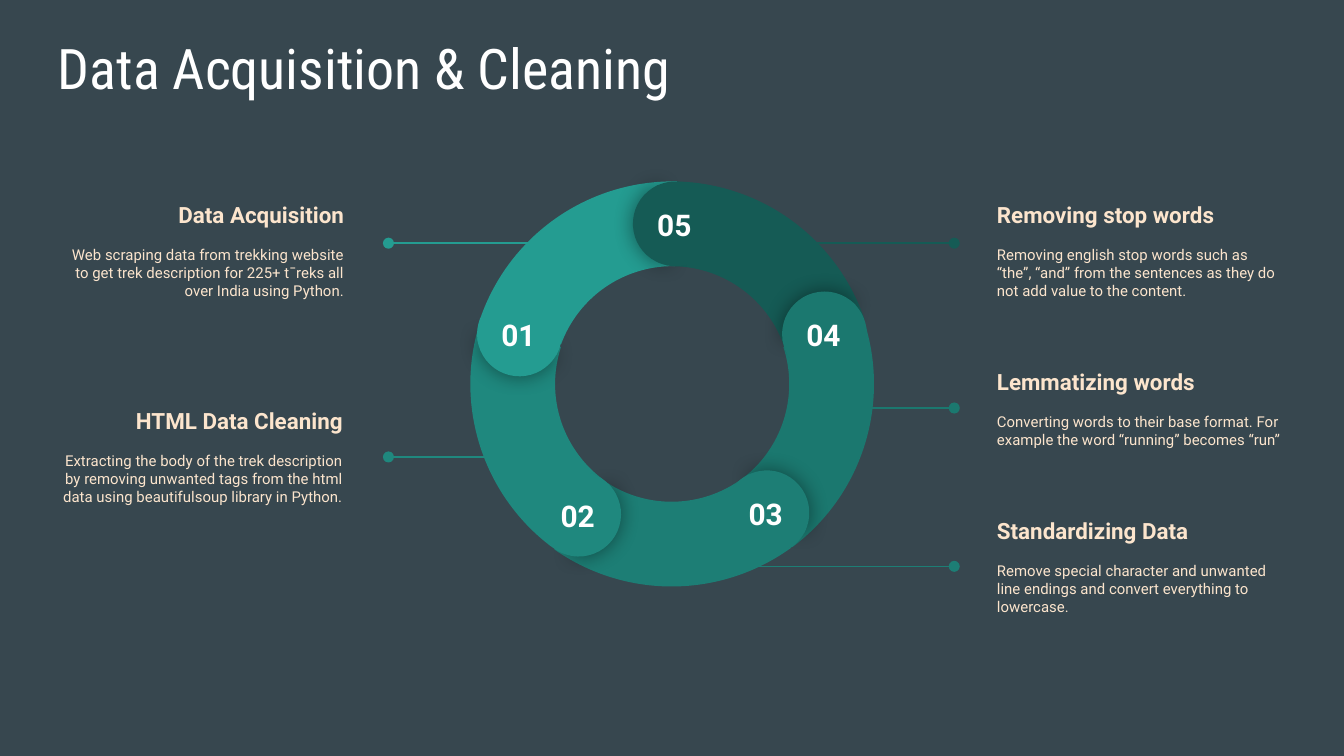
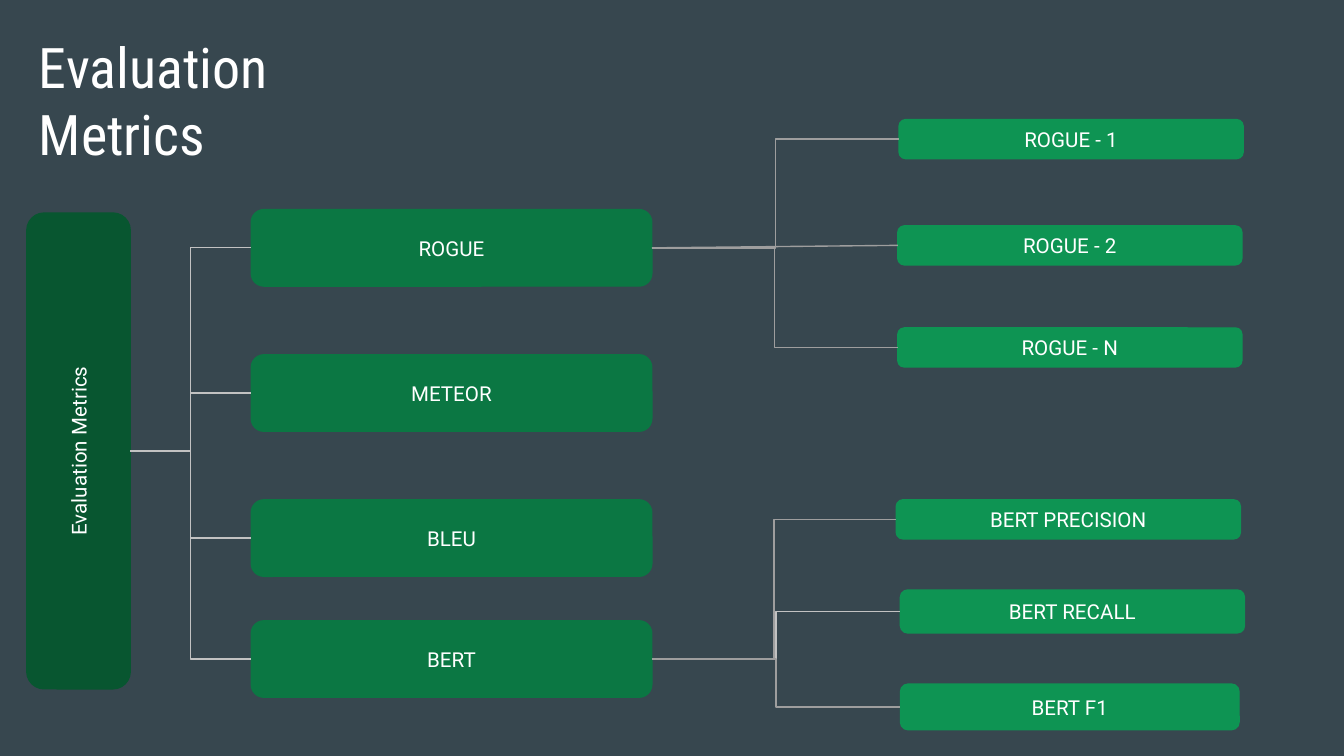
from dataclasses import dataclass

from lxml import etree
from pptx import Presentation
from pptx.dml import color as dml
from pptx.enum import shapes, text
from pptx.oxml import ns
from pptx.util import Pt

# Shared style
BACKGROUND = "37474F"
WHITE = "FFFFFF"
CREAM = "FCE5CD"
LINK, PALE_LINK = "9E9E9E", "C2C2C2"
BODY_FONT, TITLE_FONT = "Roboto", "Roboto Condensed"
INSET = 7.2
LEFT, CENTER, RIGHT = text.PP_ALIGN.LEFT, text.PP_ALIGN.CENTER, text.PP_ALIGN.RIGHT


@dataclass
class Step:
    number: str
    colour: str
    arc_left: float
    arc_top: float
    arc_turn: float
    cap_left: float
    cap_top: float
    cap_turn: float


@dataclass
class Callout:
    heading: str
    body: str
    left: float
    top: float
    align: text.PP_ALIGN
    colour: str
    line_start: float
    line_end: float
    line_y: float


@dataclass
class Node:
    label: str
    left: float
    top: float
    width: float
    height: float
    fill: str
    link: str = LINK
    straight: bool = False

    @property
    def middle(self) -> float:
        return self.top + self.height / 2

    @property
    def right(self) -> float:
        return self.left + self.width


# Helpers
def rgb(value: str) -> dml.RGBColor:
    return dml.RGBColor.from_string(value)


def sub(parent, tag: str, **attributes: str):
    return etree.SubElement(parent, ns.qn(tag), attributes)


def style(para, size: float, colour: str, align=LEFT, bold=False, font=BODY_FONT) -> None:
    para.alignment = align
    para.font.name = font
    para.font.size = Pt(size)
    para.font.bold = bold
    para.font.color.rgb = rgb(colour)


def set_frame(box, anchor):
    frame = box.text_frame
    frame.word_wrap = True
    frame.auto_size = text.MSO_AUTO_SIZE.NONE
    frame.vertical_anchor = anchor
    frame.margin_left = frame.margin_right = Pt(INSET)
    frame.margin_top = frame.margin_bottom = Pt(INSET)
    return frame


def add_page(deck, title: str, left: float, top: float, width: float, height: float):
    page = deck.slides.add_slide(deck.slide_layouts.get_by_name("Title Only"))
    box = page.shapes.title
    box.left, box.top, box.width, box.height = Pt(left), Pt(top), Pt(width), Pt(height)
    frame = set_frame(box, text.MSO_ANCHOR.TOP)
    frame.text = title
    style(frame.paragraphs[0], 30, WHITE, font=TITLE_FONT)
    return page


def add_shape(page, kind, left: float, top: float, width: float, height: float,
              fill: str, turn: float = 0):
    shape = page.shapes.add_shape(kind, Pt(left), Pt(top), Pt(width), Pt(height))
    shape.shadow.inherit = False
    shape.fill.solid()
    shape.fill.fore_color.rgb = rgb(fill)
    shape.line.fill.background()
    shape.rotation = turn
    return shape


def add_line(page, kind, x1: float, y1: float, x2: float, y2: float, colour: str):
    line = page.shapes.add_connector(kind, Pt(x1), Pt(y1), Pt(x2), Pt(y2))
    line.line.color.rgb = rgb(colour)
    line.line.width = Pt(0.75)
    sub(line._element.spPr, "a:effectLst")
    return line


# Cleaning steps
ARC_SIZE, CAP_SIZE = 218.4, 45.4
ARC_ANGLES = (126.03, 168.68, 0.208)
CAP_FRONT, CAP_BACK = (61.9, 149.96), (40.28, 171.84)

STEPS = [
    Step("02", "1F887E", 252, 96.5, 277, 287.3, 252.7, 211.1),
    Step("04", "1B786F", 249.8, 96.5, 132, 419, 156.2, 67.1),
    Step("05", "155B55", 250.6, 97.2, 60, 339.1, 97.2, 357.1),
    Step("03", "1D7E75", 250.6, 95.8, 204, 388.1, 252, 139.1),
    Step("01", "249C91", 251.3, 97.2, 350, 255.6, 156.2, 284.1),
]

CALLOUTS = [
    Callout("Data Acquisition",
            "Web scraping data from trekking website to get trek description for "
            "225+ t¯reks all over India using Python.",
            24.5, 97.9, RIGHT, "249C91", 304.6, 208.1, 130.3),
    Callout("HTML Data Cleaning",
            "Extracting the body of the trek description by removing unwanted tags "
            "from the html data using beautifulsoup library in Python.",
            23.8, 208.1, RIGHT, "1F887E", 281.5, 208.1, 244.8),
    Callout("Standardizing Data",
            "Remove special character and unwanted line endings and convert "
            "everything to lowercase.",
            527, 267.1, LEFT, "1D7E75", 366.5, 511.2, 303.4),
    Callout("Removing stop words",
            "Removing english stop words such as “the”, “and” from the sentences "
            "as they do not add value to the content.",
            527, 97.9, LEFT, "155B55", 410.4, 511.2, 130.3),
    Callout("Lemmatizing words",
            "Converting words to their base format. For example the word “running” "
            "becomes “run”",
            527, 182.2, LEFT, "1B786F", 442.1, 511.2, 218.6),
]


def add_callout(page, item: Callout) -> None:
    line = add_line(page, shapes.MSO_CONNECTOR.STRAIGHT, item.line_start, item.line_y,
                    item.line_end, item.line_y, item.colour)
    sub(line.line._get_or_add_ln(), "a:tailEnd", type="oval")
    box = page.shapes.add_textbox(Pt(item.left), Pt(item.top), Pt(167), Pt(72.7))
    frame = set_frame(box, text.MSO_ANCHOR.MIDDLE)
    frame.text = item.heading
    style(frame.paragraphs[0], 12, CREAM, item.align, bold=True)
    para = frame.add_paragraph()
    para.text = item.body
    para.space_before, para.space_after = Pt(9.4), Pt(16)
    style(para, 8, CREAM, item.align)


def add_arc(page, step: Step) -> None:
    arc = add_shape(page, shapes.MSO_SHAPE.BLOCK_ARC, step.arc_left, step.arc_top,
                    ARC_SIZE, ARC_SIZE, step.colour, step.arc_turn)
    for index, value in enumerate(ARC_ANGLES):
        arc.adjustments[index] = value


def add_cap(page, step: Step) -> None:
    # The front half casts a shadow on the next arc, the back half hides the seam
    for angles, turn in ((CAP_FRONT, 0), (CAP_BACK, 179.3)):
        half = add_shape(page, shapes.MSO_SHAPE.PIE, step.cap_left, step.cap_top,
                         CAP_SIZE, CAP_SIZE, step.colour, (step.cap_turn + turn) % 360)
        half.adjustments[0], half.adjustments[1] = angles
        if angles == CAP_FRONT:
            effects = half._element.spPr.find(ns.qn("a:effectLst"))
            shadow = sub(effects, "a:outerShdw", blurRad=str(Pt(11.2)), dist="0",
                         dir="0", algn="ctr", rotWithShape="0")
            sub(sub(shadow, "a:srgbClr", val="000000"), "a:alpha", val="43000")


def add_number(page, step: Step) -> None:
    box = page.shapes.add_textbox(Pt(step.cap_left + 2), Pt(step.cap_top + 6.5),
                                  Pt(40.3), Pt(20.9))
    frame = set_frame(box, text.MSO_ANCHOR.TOP)
    frame.text = step.number
    style(frame.paragraphs[0], 16, WHITE, CENTER, bold=True)


def build_cleaning(deck) -> None:
    page = add_page(deck, "Data Acquisition & Cleaning", 23.8, 10.8, 671, 45.4)
    for item in CALLOUTS:
        add_callout(page, item)
    for draw in (add_arc, add_cap, add_number):
        for step in STEPS:
            draw(page, step)


# Metrics tree
ROOT = Node("Evaluation Metrics", 14.4, 114.1, 55.4, 254.9, "085630")


def metric(label: str, top: float) -> Node:
    return Node(label, 134.6, top, 214.6, 41, "0B7743", PALE_LINK)


def variant(label: str, left: float, top: float, width: float = 184.3,
            height: float = 20.9, **extra) -> Node:
    return Node(label, left, top, width, height, "0E9453", **extra)


TREE = [
    (metric("ROGUE", 112.3), [
        variant("ROGUE - 1", 481.7, 64.1),
        variant("ROGUE - 2", 481, 121, straight=True),
        variant("ROGUE - N", 481, 175.7),
    ]),
    (metric("METEOR", 190.1), []),
    (metric("BLEU", 267.8), []),
    (metric("BERT", 332.6), [
        variant("BERT PRECISION", 480.2, 267.8),
        variant("BERT RECALL", 482.4, 316.1, height=23, link=PALE_LINK),
        variant("BERT F1", 482.4, 366.5, width=181.4, height=24.5),
    ]),
]


def add_node(page, node: Node, upright: bool = False) -> None:
    left, top, width, height = node.left, node.top, node.width, node.height
    if upright:
        # A turned box keeps its centre while its sides change places
        left, top = left + (width - height) / 2, top + (height - width) / 2
        width, height = height, width
    box = add_shape(page, shapes.MSO_SHAPE.ROUNDED_RECTANGLE, left, top, width, height,
                    node.fill, 270 if upright else 0)
    box.line.color.rgb = rgb(node.fill)
    box.line.width = Pt(0.75)
    frame = set_frame(box, text.MSO_ANCHOR.MIDDLE)
    frame.text = node.label
    style(frame.paragraphs[0], 11, WHITE, CENTER)


def add_link(page, parent: Node, child: Node) -> None:
    kind = shapes.MSO_CONNECTOR.STRAIGHT if child.straight else shapes.MSO_CONNECTOR.ELBOW
    add_line(page, kind, parent.right, parent.middle, child.left, child.middle, child.link)


def build_metrics(deck) -> None:
    page = add_page(deck, "Evaluation Metrics", 13.7, 10.1, 229, 41)
    add_node(page, ROOT, upright=True)
    for branch, leaves in TREE:
        add_node(page, branch)
        add_link(page, ROOT, branch)
        for leaf in leaves:
            add_node(page, leaf)
            add_link(page, branch, leaf)


def main() -> None:
    deck = Presentation()
    deck.slide_width, deck.slide_height = Pt(720), Pt(405)
    fill = deck.slide_master.background.fill
    fill.solid()
    fill.fore_color.rgb = rgb(BACKGROUND)
    build_cleaning(deck)
    build_metrics(deck)
    deck.save("out.pptx")


if __name__ == "__main__":
    main()
